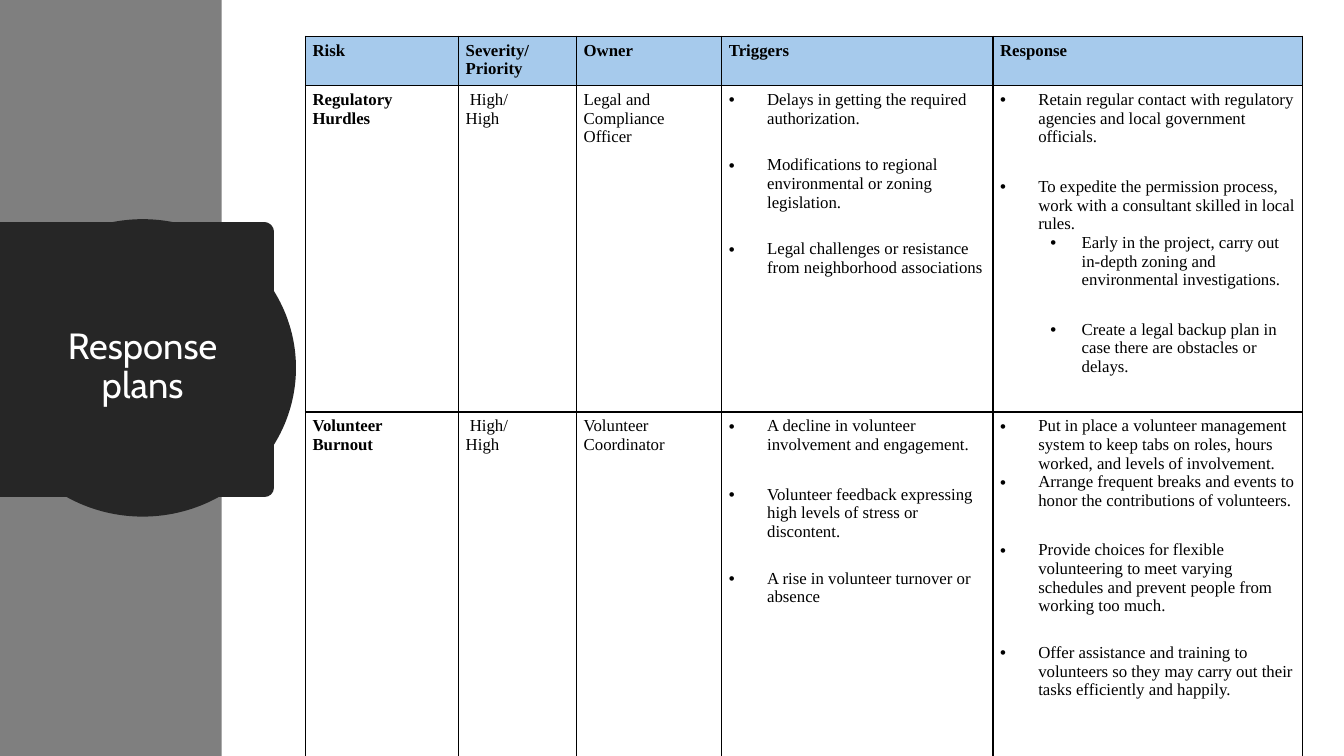
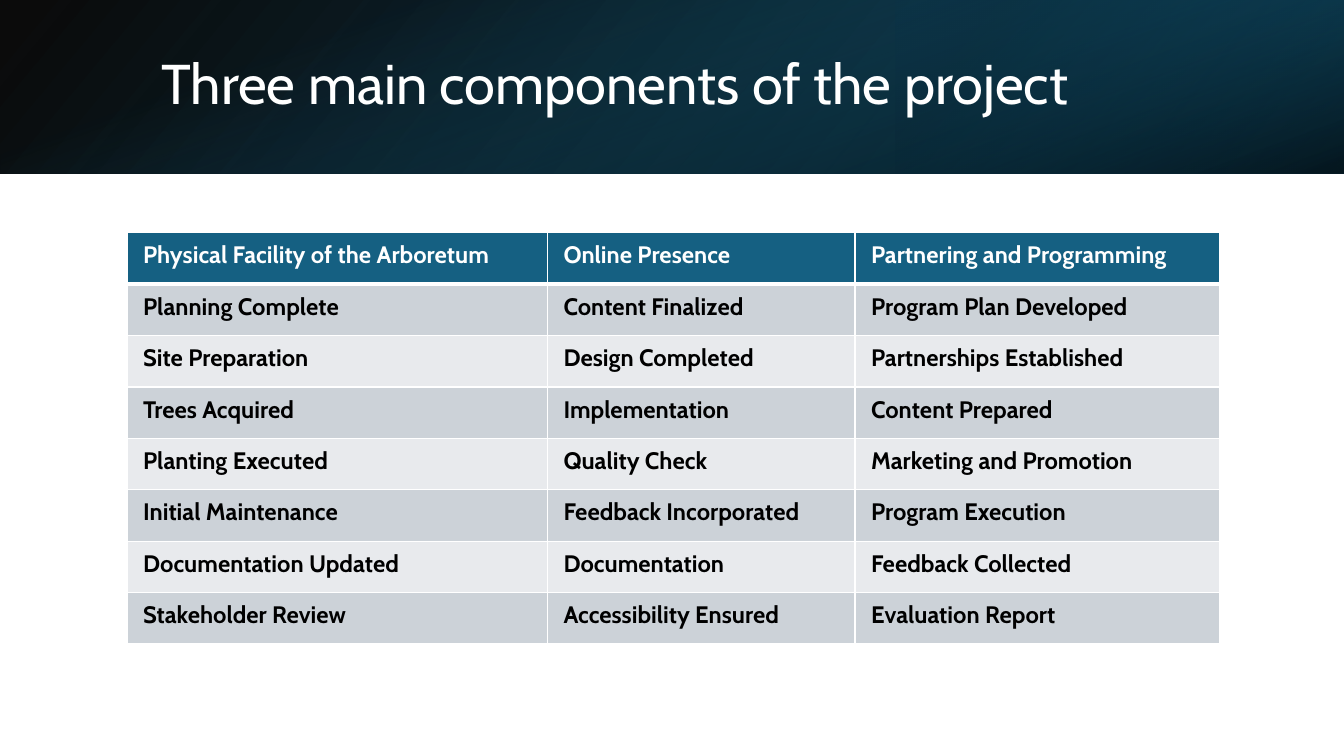
from pptx import Presentation
from pptx.dml.color import RGBColor as RGB
from pptx.enum.shapes import MSO_SHAPE as SHAPE
from pptx.enum.text import MSO_ANCHOR as ANCHOR, MSO_AUTO_SIZE as AUTOSIZE, PP_ALIGN as ALIGN
from pptx.oxml.ns import qn
from pptx.util import Emu, Inches, Pt
from lxml.etree import SubElement

W, H = 13.33, 7.5
HEAD_FONT, BODY_FONT = "Cabin", "Times New Roman"
C = {
    "white": "FFFFFF", "black": "000000", "gray": "7F7F7F", "dark": "262626",
    "sky": "A6CAEC", "teal": "156082", "deep": "104862", "night": "0B3041",
    "odd": "CCD2D8", "even": "E8EAED",
}

RISK_HEADS = ["Risk", "Severity/ Priority", "Owner", "Triggers", "Response"]
RISKS = [
    ["Regulatory Hurdles", "Legal and Compliance Officer",
     [(0, 0, "Delays in getting the required authorization."),
      (0, 20, "Modifications to regional environmental or zoning legislation."),
      (0, 20, "Legal challenges or resistance from neighborhood associations")],
     [(0, 0, "Retain regular contact with regulatory agencies and local government officials."),
      (0, 22, "To expedite the permission process, work with a consultant skilled in local rules."),
      (1, 0, "Early in the project, carry out in-depth zoning and environmental investigations."),
      (1, 22, "Create a legal backup plan in case there are obstacles or delays.")]],
    ["Volunteer Burnout", "Volunteer Coordinator",
     [(0, 0, "A decline in volunteer involvement and engagement."),
      (0, 22, "Volunteer feedback expressing high levels of stress or discontent."),
      (0, 20, "A rise in volunteer turnover or absence")],
     [(0, 0, "Put in place a volunteer management system to keep tabs on roles, hours worked, "
             "and levels of involvement."),
      (0, 0, "Arrange frequent breaks and events to honor the contributions of volunteers."),
      (0, 22, "Provide choices for flexible volunteering to meet varying schedules and prevent "
              "people from working too much."),
      (0, 20, "Offer assistance and training to volunteers so they may carry out their tasks "
              "efficiently and happily.")]],
]
COMPONENTS = [
    ["Physical Facility of the Arboretum", "Online Presence", "Partnering and Programming"],
    ["Planning Complete", "Content Finalized", "Program Plan Developed"],
    ["Site Preparation", "Design Completed", "Partnerships Established"],
    ["Trees Acquired", "Implementation", "Content Prepared"],
    ["Planting Executed", "Quality Check", "Marketing and Promotion"],
    ["Initial Maintenance", "Feedback Incorporated", "Program Execution"],
    ["Documentation Updated", "Documentation", "Feedback Collected"],
    ["Stakeholder Review", "Accessibility Ensured", "Evaluation Report"],
]


def rgb(name):
    return RGB.from_string(C[name])


def write(p, text, size=12, font=BODY_FONT, color="black", bold=False, before=0, margin=0, indent=0,
          bullet=False):
    r = p.add_run()
    r.text = text
    r.font.size, r.font.name, r.font.bold = Pt(size), font, bold
    r.font.color.rgb = rgb(color)
    p.space_before = Pt(before)
    pPr = p._p.get_or_add_pPr()
    pPr.set("marL", str(Inches(margin)))
    pPr.set("indent", str(Inches(indent)))
    if bullet:
        SubElement(pPr, qn("a:buFont"), typeface="Arial")
        SubElement(pPr, qn("a:buChar"), char="•")


def paragraphs(tf):
    yield tf.paragraphs[0]
    while True:
        yield tf.add_paragraph()


def add_panel(slide, kind, box, fill=None, line=None):
    sp = slide.shapes.add_shape(kind, *map(Inches, box))
    sp.shadow.inherit = False
    style_panel(sp, fill, line)
    return sp


def style_panel(sp, fill=None, line=None):
    if fill:
        sp.fill.solid()
        sp.fill.fore_color.rgb = rgb(fill)
    if line:
        sp.line.color.rgb = rgb(fill)
        sp.line.width = Pt(line)
        SubElement(sp.line._get_or_add_ln(), qn("a:round"))
    else:
        sp.line.fill.background()


def add_gradient(slide, box, stops, angle, rotation=0, flip=False):
    sp = add_panel(slide, SHAPE.RECTANGLE, box)
    sp.rotation = rotation
    spPr = sp._element.spPr
    if flip:
        spPr.xfrm.set("flipH", "1")
    sp.fill.gradient()
    grad = spPr.find(qn("a:gradFill"))
    for child in list(grad):
        grad.remove(child)
    gs_list = SubElement(grad, qn("a:gsLst"))
    for pos, color, opacity in stops:
        gs = SubElement(gs_list, qn("a:gs"), pos=str(pos * 1000))
        clr = SubElement(gs, qn("a:srgbClr"), val=C[color])
        SubElement(clr, qn("a:alpha"), val=str(opacity * 1000))
    SubElement(grad, qn("a:lin"), ang=str(angle * 60000), scaled="0")


def place_title(slide, text, box, size, align, insets=(0.1, 0.05, 0.1, 0.05)):
    sp = slide.shapes.title
    slide.shapes._spTree.append(sp._element)
    sp.left, sp.top, sp.width, sp.height = map(Inches, box)
    tf = sp.text_frame
    tf.word_wrap, tf.auto_size = True, AUTOSIZE.NONE
    tf.vertical_anchor = ANCHOR.MIDDLE
    tf.margin_left, tf.margin_top, tf.margin_right, tf.margin_bottom = map(Inches, insets)
    p = tf.paragraphs[0]
    p.alignment, p.line_spacing = align, 0.9
    write(p, text, size=size, font=HEAD_FONT, color="white")
    return sp


def add_grid(slide, origin, cols, rows):
    size = sum(cols), sum(rows)
    shape = slide.shapes.add_table(len(rows), len(cols), *map(Inches, origin + size))
    table = shape.table
    table.first_row = table.horz_banding = False
    for parts, lengths, side in ((table.columns, cols, "width"), (table.rows, rows, "height")):
        for part, length in zip(parts, lengths):
            setattr(part, side, Inches(length))
    return table


def style_cell(cell, insets, border, fill=None, bottom=1):
    cell.margin_left, cell.margin_top, cell.margin_right, cell.margin_bottom = map(Inches, insets)
    tcPr = cell._tc.get_or_add_tcPr()
    for side, width in (("L", 1), ("R", 1), ("T", 1), ("B", bottom)):
        ln = SubElement(tcPr, qn("a:ln" + side), w=str(Pt(width)))
        SubElement(SubElement(ln, qn("a:solidFill")), qn("a:srgbClr"), val=C[border])
    if fill:
        cell.fill.solid()
        cell.fill.fore_color.rgb = rgb(fill)
    else:
        cell.fill.background()


def add_side_title(slide, box, text):
    x, y, w, h = box
    add_panel(slide, SHAPE.RECTANGLE, box, "gray")
    add_panel(slide, SHAPE.OVAL, (x - 0.01, y + 2.27, 2.85, 2.76), "dark", 13.75)
    tab = (x - 0.01, y + 2.3, 2.63, 2.54)
    sp = place_title(slide, text, tab, 26, ALIGN.CENTER, (0.42, 0.2, 0.2, 0.05))
    style_panel(sp, "dark", 13.75)


def fill_risk_cell(cell, content, bold):
    for p, (level, before, text) in zip(paragraphs(cell.text_frame), content):
        margin, indent = ((0.38, -0.38), (0.81, -0.31))[level]
        write(p, text, before=before, margin=margin, indent=indent, bullet=True)


def add_risk_table(slide, origin):
    table = add_grid(slide, origin, (1.52, 1.17, 1.44, 2.69, 3.07), (0.49, 3, 3.49))
    for row in range(3):
        for col in range(5):
            right = 0.14 if col == 0 else 0.07
            style_cell(table.cell(row, col), (0.07, 0.05, right, 0.05), "black",
                       "sky" if row == 0 else None)
    for col, head in enumerate(RISK_HEADS):
        write(table.cell(0, col).text_frame.paragraphs[0], head, bold=True)
    for row, (risk, owner, triggers, responses) in enumerate(RISKS, 1):
        write(table.cell(row, 0).text_frame.paragraphs[0], risk, bold=True)
        levels = paragraphs(table.cell(row, 1).text_frame)
        write(next(levels), "High/", indent=0.04)
        write(next(levels), "High")
        write(table.cell(row, 2).text_frame.paragraphs[0], owner)
        fill_risk_cell(table.cell(row, 3), triggers, False)
        fill_risk_cell(table.cell(row, 4), responses, False)


def add_title_band(slide, box, text):
    x, y, w, h = box
    add_gradient(slide, box, [(0, "black", 96), (100, "deep", 100)], 140, flip=True)
    add_gradient(slide, (x + w * 2 / 3, y, w / 3, h),
                 [(19, "night", 68), (100, "teal", 79)], 320, rotation=180, flip=True)
    add_gradient(slide, (x + (w - h) / 2, y + (h - w) / 2, h, w),
                 [(23, "teal", 0), (99, "black", 74)], 340, rotation=90)
    place_title(slide, text, (x + 1.5, y + 0.38, 10.98, 0.96), 40, ALIGN.LEFT)


def add_component_table(slide, origin):
    table = add_grid(slide, origin, (4.17, 3.05, 3.62), (0.51,) * len(COMPONENTS))
    for row, texts in enumerate(COMPONENTS):
        head = row == 0
        fill = "teal" if head else ("even", "odd")[row % 2]
        for col, text in enumerate(texts):
            cell = table.cell(row, col)
            style_cell(cell, (0.16, 0.08, 0.16, 0.08), "white", fill, 3 if head else 1)
            write(cell.text_frame.paragraphs[0], text, size=17, font=HEAD_FONT, bold=True,
                  color="white" if head else "black")


def response_slide(prs):
    slide = prs.slides.add_slide(prs.slide_layouts[5])
    add_side_title(slide, (0, 0, 2.2, H), "Response plans")
    add_risk_table(slide, (3.03, 0.36))


def components_slide(prs):
    slide = prs.slides.add_slide(prs.slide_layouts[5])
    add_title_band(slide, (0, 0, W, 1.72), "Three main components of the project")
    add_component_table(slide, (1.26, 2.31))


def main():
    prs = Presentation()
    prs.slide_width, prs.slide_height = Inches(W), Inches(H)
    response_slide(prs)
    components_slide(prs)
    prs.save("out.pptx")


if __name__ == "__main__":
    main()
